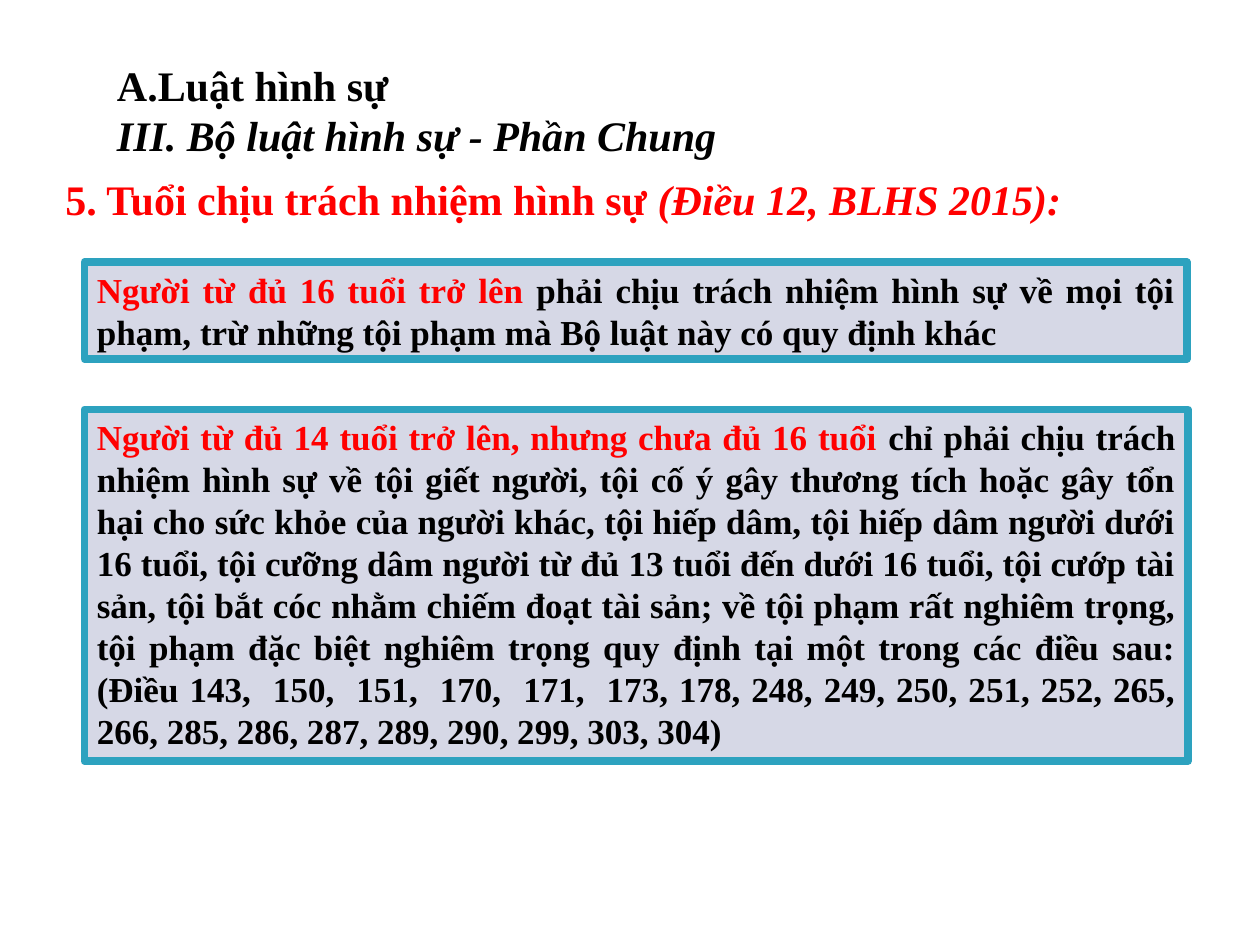
import pptx
import pptx.dml.color
import pptx.enum.shapes
import pptx.enum.text
import pptx.util
from pptx.util import Inches

COLORS = {"black": "000000", "red": "FF0000", "panel": "D6D8E6", "border": "2DA2BF"}


def rgb(name):
    return pptx.dml.color.RGBColor.from_string(COLORS[name])


def write_runs(paragraph, size, runs):
    paragraph.alignment = pptx.enum.text.PP_ALIGN.JUSTIFY
    for words, color, italic in runs:
        run = paragraph.add_run()
        run.text = words
        run.font.name = "Times New Roman"
        run.font.size = pptx.util.Pt(size)
        run.font.bold = True
        run.font.italic = italic
        run.font.color.rgb = rgb(color)


presentation = pptx.Presentation()
presentation.slide_width = Inches(10)
presentation.slide_height = Inches(7.5)
slide = presentation.slides.add_slide(presentation.slide_layouts[6])

topic = slide.shapes.add_textbox(Inches(0.42), Inches(1.33), Inches(9.17), Inches(0.5))
topic.text_frame.word_wrap = True
write_runs(topic.text_frame.paragraphs[0], 24, [
    ("5. Tuổi chịu trách nhiệm hình sự ", "red", False),
    ("(Điều 12, BLHS 2015):", "red", True),
])

age_rules = [
    (2.08, 8.75, 0.77, "Người từ đủ 16 tuổi trở lên ",
     "phải chịu trách nhiệm hình sự về mọi tội phạm, trừ những tội phạm mà "
     "Bộ luật này có quy định khác"),
    (3.25, 8.76, 2.79, "Người từ đủ 14 tuổi trở lên, nhưng chưa đủ 16 tuổi ",
     "chỉ phải chịu trách nhiệm hình sự về tội giết người, tội cố ý gây thương "
     "tích hoặc gây tổn hại cho sức khỏe của người khác, tội hiếp dâm, tội hiếp "
     "dâm người dưới 16 tuổi, tội cưỡng dâm người từ đủ 13 tuổi đến dưới 16 tuổi, "
     "tội cướp tài sản, tội bắt cóc nhằm chiếm đoạt tài sản; về tội phạm rất "
     "nghiêm trọng, tội phạm đặc biệt nghiêm trọng quy định tại một trong các "
     "điều sau: (Điều 143,  150,  151,  170,  171,  173, 178, 248, 249, 250, 251, "
     "252, 265, 266, 285, 286, 287, 289, 290, 299, 303, 304)"),
]
for top, width, height, age_group, liability in age_rules:
    rule = slide.shapes.add_shape(
        pptx.enum.shapes.MSO_SHAPE.RECTANGLE,
        Inches(0.67), Inches(top), Inches(width), Inches(height))
    rule.shadow.inherit = False
    rule.fill.solid()
    rule.fill.fore_color.rgb = rgb("panel")
    rule.line.color.rgb = rgb("border")
    rule.line.width = pptx.util.Pt(4.33)
    rule.text_frame.word_wrap = True
    rule.text_frame.vertical_anchor = pptx.enum.text.MSO_ANCHOR.TOP
    write_runs(rule.text_frame.paragraphs[0], 20, [
        (age_group, "red", False),
        (liability, "black", False),
    ])

chapter = slide.shapes.add_textbox(Inches(0.33), Inches(0.42), Inches(7.17), Inches(1.31))
chapter.text_frame.word_wrap = True
chapter.text_frame.text = "\n"
headings = [("A.Luật hình sự", False), ("III. Bộ luật hình sự - Phần Chung", True)]
for paragraph, (heading, italic) in zip(chapter.text_frame.paragraphs, headings):
    paragraph._p.get_or_add_pPr().set("marL", str(Inches(0.5)))
    write_runs(paragraph, 24, [(heading, "black", italic)])

presentation.save("out.pptx")
